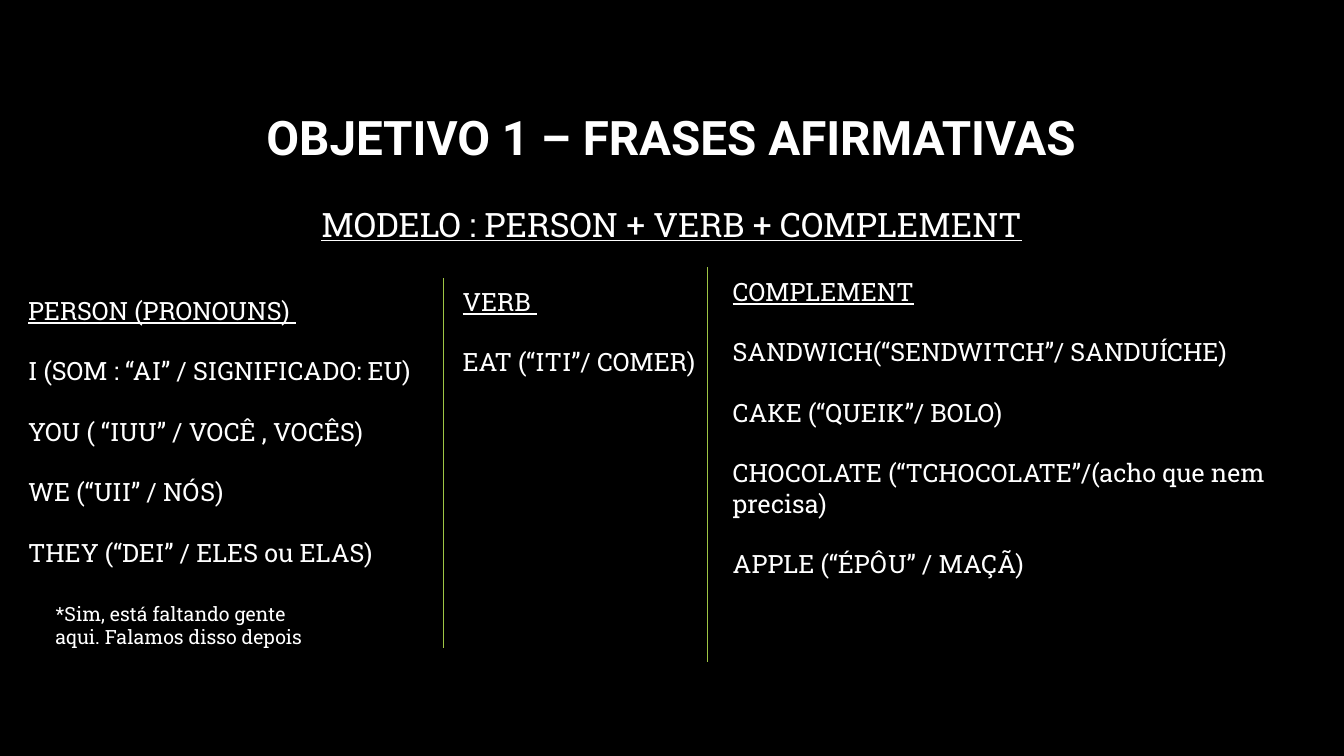
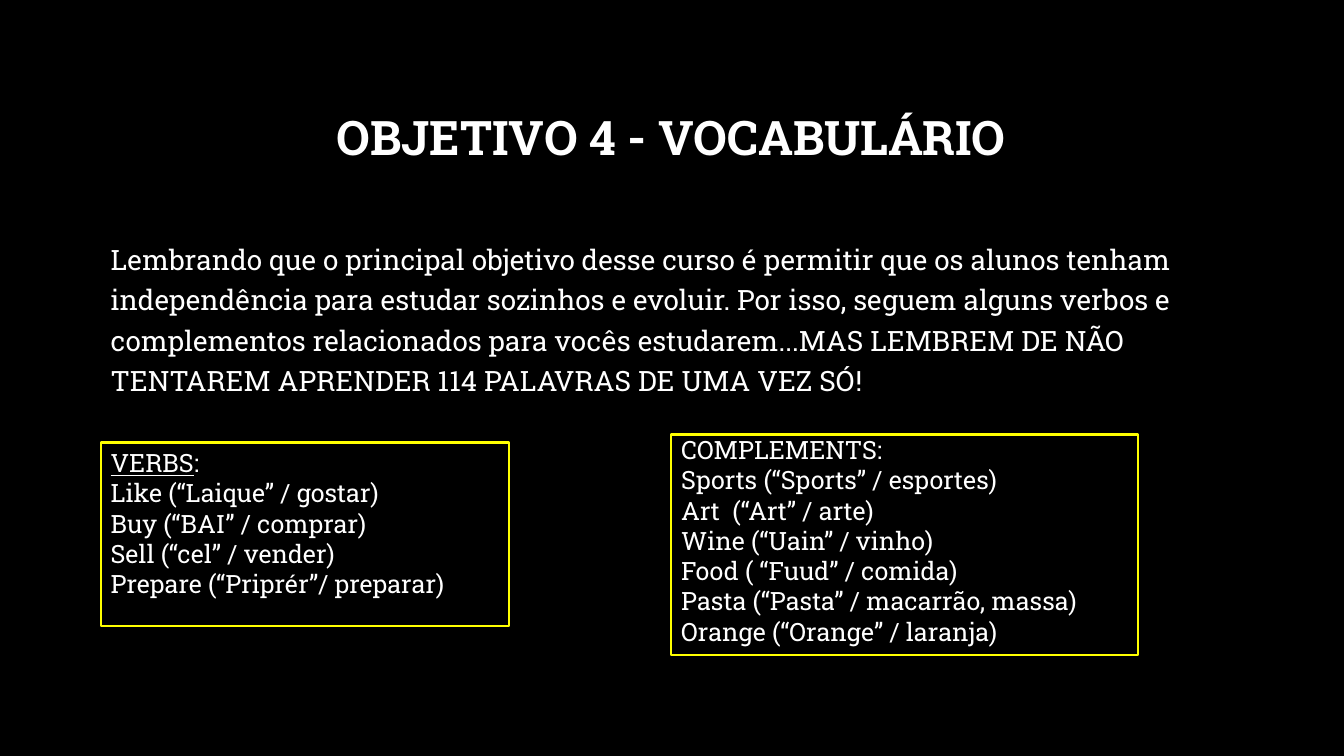
"""Builds two dark English-lesson slides: affirmative sentences and vocabulary."""
from dataclasses import dataclass

from lxml.etree import SubElement
from pptx import Presentation
from pptx.dml.color import RGBColor
from pptx.enum.shapes import MSO_CONNECTOR, MSO_SHAPE
from pptx.enum.text import MSO_ANCHOR, PP_ALIGN
from pptx.oxml.ns import qn
from pptx.slide import Slide
from pptx.text.text import TextFrame
from pptx.util import Inches, Pt

BLACK = RGBColor(0x00, 0x00, 0x00)
WHITE = RGBColor(0xFF, 0xFF, 0xFF)
GREEN = RGBColor(0x9E, 0xC5, 0x44)
YELLOW = RGBColor(0xFF, 0xFF, 0x00)
SANS, SLAB = "Roboto", "Roboto Slab"
WIDTH, HEIGHT = Inches(13.33), Inches(7.5)
BLANK_LAYOUT = 6
ENTRY_GAP = 21.6


def across(percent: float) -> int:
    """Turn a percentage of the slide's width into a length."""
    return round(WIDTH * percent / 100)


def down(percent: float) -> int:
    """Turn a percentage of the slide's height into a length."""
    return round(HEIGHT * percent / 100)


@dataclass(frozen=True)
class Area:
    """A rectangle in percentages of the slide's size."""
    left: float
    top: float
    width: float
    height: float

    def lengths(self) -> tuple[int, int, int, int]:
        """Return left, top, width and height as lengths."""
        return across(self.left), down(self.top), across(self.width), down(self.height)


@dataclass(frozen=True)
class TextStyle:
    """The look shared by all paragraphs of a text."""
    size: float = 18
    font: str = SLAB
    bold: bool = False
    align: PP_ALIGN = PP_ALIGN.LEFT
    line_spacing: float = 1.0
    before: float = 0
    gap: float = 0


@dataclass(frozen=True)
class Passage:
    """An optional underlined heading followed by lines."""
    area: Area
    lines: tuple[str, ...] = ()
    underlined: str = ""
    style: TextStyle = TextStyle()


@dataclass(frozen=True)
class WordList:
    """A framed vocabulary list."""
    passage: Passage
    inset_top: float


@dataclass(frozen=True)
class Divider:
    """A vertical rule between columns."""
    x: float
    top: float
    bottom: float


TITLE_AREA = Area(7.5, 8.93, 84.9, 19.33)
COLUMN = TextStyle(gap=ENTRY_GAP)

MODEL = Passage(Area(23.18, 26.27, 62.18, 6.67),
                underlined="MODELO : PERSON + VERB + COMPLEMENT", style=TextStyle(24))
SENTENCE_PARTS = (
    Passage(Area(1.35, 38.4, 33.08, 41.73),
            ("", "I (SOM : “AI” / SIGNIFICADO: EU)", "YOU ( “IUU” / VOCÊ , VOCÊS)",
             "WE (“UII” / NÓS)", "THEY (“DEI” / ELES ou ELAS)"),
            "PERSON (PRONOUNS) ", COLUMN),
    Passage(Area(33.68, 37.2, 19.65, 13.47), ("", "EAT (“ITI”/ COMER)"), "VERB ", COLUMN),
    Passage(Area(53.78, 35.87, 41.78, 54.8),
            ("", "SANDWICH(“SENDWITCH”/ SANDUÍCHE)", "CAKE (“QUEIK”/ BOLO)",
             "CHOCOLATE (“TCHOCOLATE”/(acho que nem precisa)", "APPLE (“ÉPÔU” / MAÇÃ)"),
            "COMPLEMENT", COLUMN),
)
DIVIDERS = (Divider(33, 36.8, 85.73), Divider(52.65, 35.33, 87.6))
MISSING_NOTE = Passage(Area(3.38, 78.93, 22.28, 7.6),
                       ("*Sim, está faltando gente aqui. Falamos disso depois",),
                       style=TextStyle(14))

ADVICE = Passage(
    Area(7.5, 30.53, 84.9, 26.67),
    ("Lembrando que o principal objetivo desse curso é permitir que os alunos tenham "
     "independência para estudar sozinhos e evoluir. Por isso, seguem alguns verbos e "
     "complementos relacionados para vocês estudarem...MAS LEMBREM DE NÃO TENTAREM "
     "APRENDER 114 PALAVRAS DE UMA VEZ SÓ!",),
    style=TextStyle(20, line_spacing=1.2, before=10))
WORD_LISTS = (
    WordList(Passage(Area(7.5, 58.53, 30.38, 24.27),
                     (":", "Like (“Laique” / gostar)", "Buy (“BAI” / comprar)",
                      "Sell (“cel” / vender)", "Prepare (“Priprér”/ preparar)"),
                     "VERBS"), 0.05),
    WordList(Passage(Area(49.95, 57.47, 34.73, 29.2),
                     ("COMPLEMENTS:", "Sports (“Sports” / esportes)", "Art  (“Art” / arte)",
                      "Wine (“Uain” / vinho)", "Food ( “Fuud” / comida)",
                      "Pasta (“Pasta” / macarrão, massa)", "Orange (“Orange” / laranja)")), 0),
)


def write(frame: TextFrame, passage: Passage) -> None:
    """Fill a text frame, underlining the start of the first line."""
    style = passage.style
    frame.word_wrap = True
    for index, line in enumerate(passage.lines or ("",)):
        paragraph = frame.add_paragraph() if index else frame.paragraphs[0]
        paragraph.alignment = style.align
        paragraph.line_spacing = style.line_spacing
        paragraph.space_before = Pt(style.gap if index else style.before)
        font = paragraph.font
        font.name, font.size, font.bold = style.font, Pt(style.size), style.bold
        font.color.rgb = WHITE
        if index == 0 and passage.underlined:
            heading = paragraph.add_run()
            heading.text = passage.underlined
            heading.font.underline = True
        if line:
            paragraph.add_run().text = line


def add_passage(slide: Slide, passage: Passage,
                anchor: MSO_ANCHOR = MSO_ANCHOR.TOP) -> None:
    """Place a passage in a text box."""
    frame = slide.shapes.add_textbox(*passage.area.lengths()).text_frame
    frame.vertical_anchor = anchor
    write(frame, passage)


def add_word_list(slide: Slide, words: WordList) -> None:
    """Place a vocabulary list inside a yellow outline."""
    panel = slide.shapes.add_shape(MSO_SHAPE.RECTANGLE, *words.passage.area.lengths())
    panel.shadow.inherit = False
    panel.fill.background()
    panel.line.color.rgb = YELLOW
    panel.line.width = Pt(1.5)
    panel.text_frame.vertical_anchor = MSO_ANCHOR.TOP
    panel.text_frame.margin_top = Inches(words.inset_top)
    panel.text_frame.margin_bottom = 0
    write(panel.text_frame, words.passage)


def add_divider(slide: Slide, divider: Divider) -> None:
    """Draw a thin green vertical rule."""
    x = across(divider.x)
    rule = slide.shapes.add_connector(MSO_CONNECTOR.STRAIGHT, x, down(divider.top),
                                      x, down(divider.bottom))
    rule.line.color.rgb = GREEN
    rule.line.width = Pt(1)
    SubElement(rule._element.spPr, qn("a:effectLst"))


def add_lesson_slide(deck: Presentation, title: str, title_font: str) -> Slide:
    """Add a black slide with a centred title."""
    slide = deck.slides.add_slide(deck.slide_layouts[BLANK_LAYOUT])
    slide.background.fill.solid()
    slide.background.fill.fore_color.rgb = BLACK
    style = TextStyle(34, title_font, True, PP_ALIGN.CENTER, 0.9)
    add_passage(slide, Passage(TITLE_AREA, (title,), style=style), MSO_ANCHOR.MIDDLE)
    return slide


def main() -> None:
    """Build and save the deck."""
    deck = Presentation()
    deck.slide_width, deck.slide_height = WIDTH, HEIGHT

    sentences = add_lesson_slide(deck, "OBJETIVO 1 – FRASES AFIRMATIVAS", SANS)
    for passage in (MODEL, *SENTENCE_PARTS, MISSING_NOTE):
        add_passage(sentences, passage)
    for divider in DIVIDERS:
        add_divider(sentences, divider)

    vocabulary = add_lesson_slide(deck, "OBJETIVO 4 - VOCABULÁRIO", SLAB)
    add_passage(vocabulary, ADVICE)
    for words in WORD_LISTS:
        add_word_list(vocabulary, words)

    deck.save("out.pptx")


if __name__ == "__main__":
    main()
